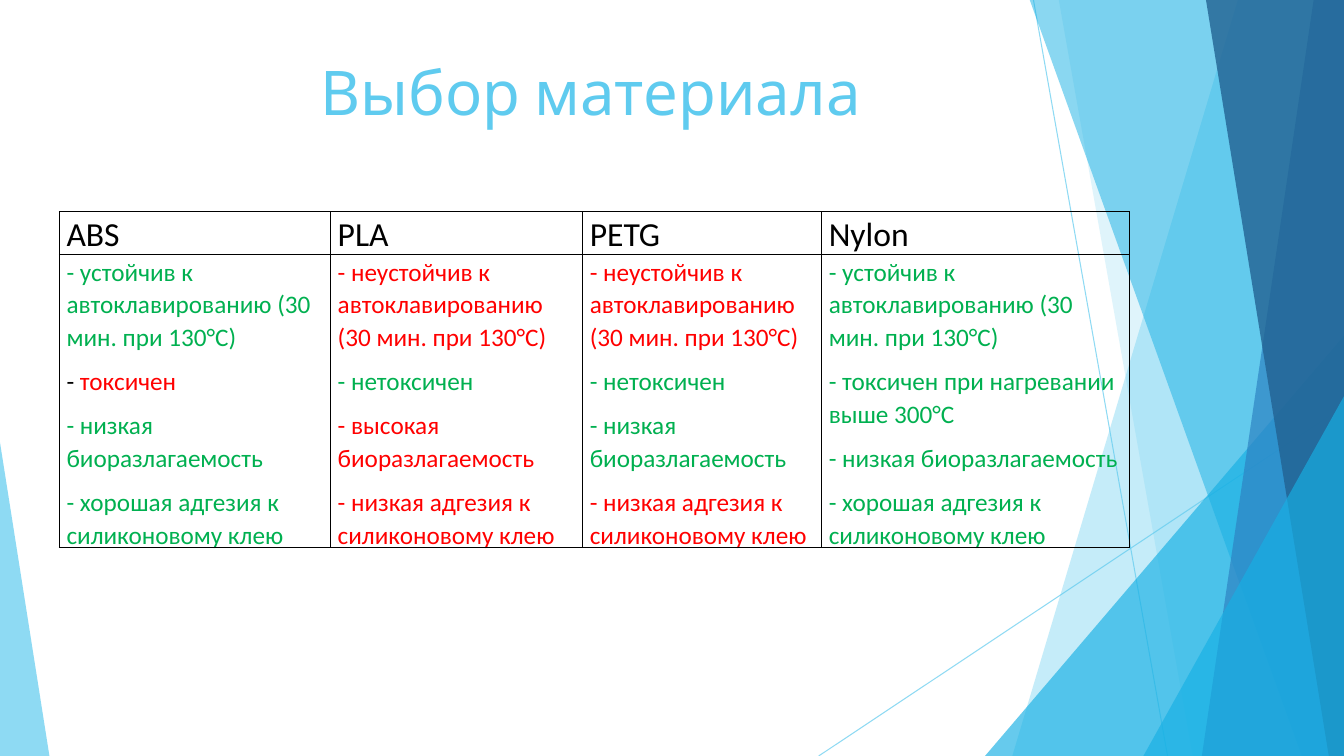
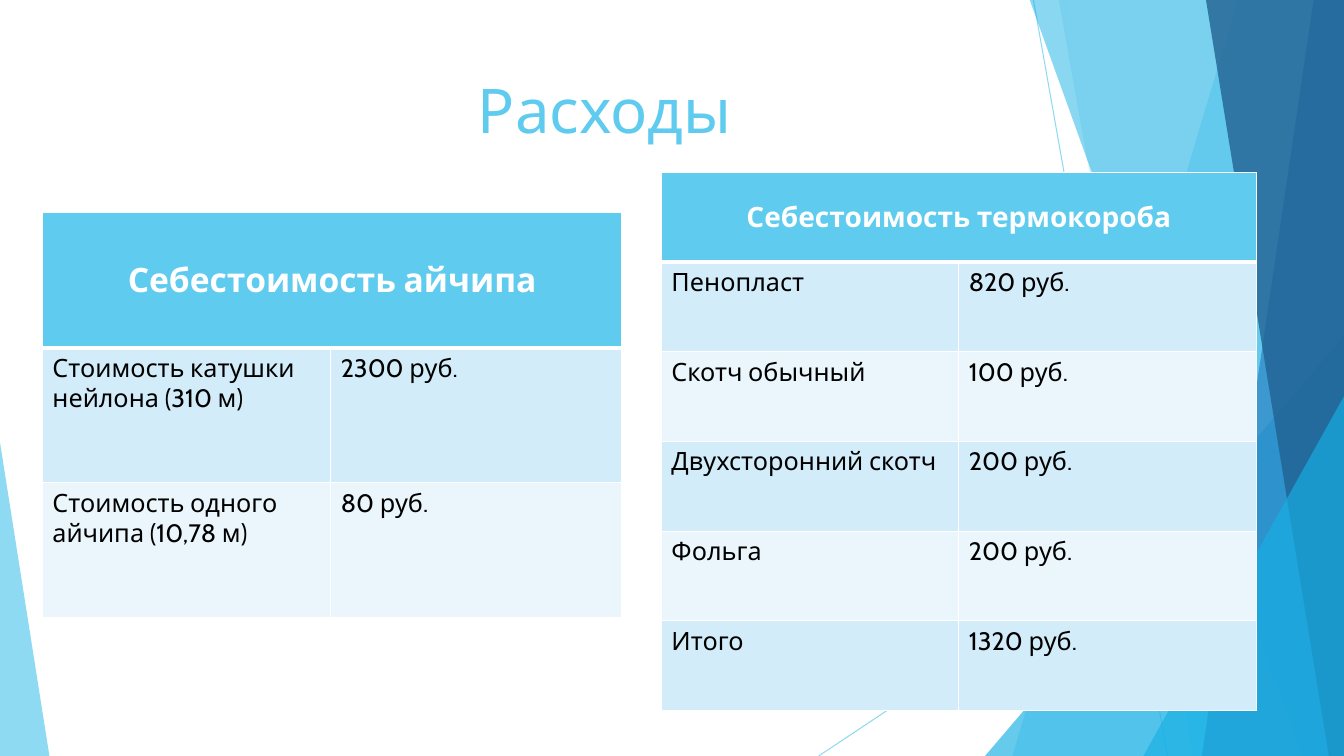
import pptx
import pptx.util
import pptx.dml.color
import pptx.enum.shapes
import pptx.enum.text
import pptx.oxml
import pptx.oxml.ns

Inches = pptx.util.Inches
Pt = pptx.util.Pt
RGBColor = pptx.dml.color.RGBColor
MSO_SHAPE = pptx.enum.shapes.MSO_SHAPE
MSO_ANCHOR = pptx.enum.text.MSO_ANCHOR
PP_ALIGN = pptx.enum.text.PP_ALIGN

SKY = RGBColor(0x5F, 0xCB, 0xEF)
CYAN = RGBColor(0x17, 0xB0, 0xE4)
BLUE = RGBColor(0x2E, 0x83, 0xC3)
NAVY = RGBColor(0x22, 0x62, 0x92)
BAND_DARK = RGBColor(0xD2, 0xEC, 0xF9)
BAND_LIGHT = RGBColor(0xEA, 0xF6, 0xFC)
GREEN = RGBColor(0x00, 0xB0, 0x50)
RED = RGBColor(0xFF, 0x00, 0x00)
BLACK = RGBColor(0x00, 0x00, 0x00)
WHITE = RGBColor(0xFF, 0xFF, 0xFF)
TITLE_FONT = "Cabin"
TABLE_FONT = "Calibri"
SLIDE_WIDTH = 13.33
SLIDE_HEIGHT = 7.5
BAND_TOP = -0.01


def set_opacity(shape, percent):
    for color in shape.element.iter(pptx.oxml.ns.qn("a:srgbClr")):
        alpha = color.makeelement(pptx.oxml.ns.qn("a:alpha"), {"val": str(percent * 1000)})
        color.append(alpha)


def set_borders(cell, color, bottom_width=1):
    properties = cell._tc.get_or_add_tcPr()
    for side, width in (("L", 1), ("R", 1), ("T", 1), ("B", bottom_width)):
        properties.append(pptx.oxml.parse_xml(
            f'<a:ln{side} xmlns:a="http://schemas.openxmlformats.org/drawingml/2006/main" '
            f'w="{Pt(width)}"><a:solidFill><a:srgbClr val="{color}"/></a:solidFill></a:ln{side}>'))


presentation = pptx.Presentation()
presentation.slide_width = Inches(SLIDE_WIDTH)
presentation.slide_height = Inches(SLIDE_HEIGHT)
blank_layout = presentation.slide_layouts[6]

titles = [
    ("Выбор материала ", 1.23, 0.2),
    ("Расходы", 1.3, 0.38),
]
slides = []
for title, left, top in titles:
    slide = presentation.slides.add_slide(blank_layout)
    title_box = slide.shapes.add_textbox(Inches(left), Inches(top), Inches(9.4), Inches(1.4))
    title_frame = title_box.text_frame
    title_frame.word_wrap = True
    title_frame.vertical_anchor = MSO_ANCHOR.MIDDLE
    title_frame.text = title
    paragraph = title_frame.paragraphs[0]
    paragraph.alignment = PP_ALIGN.CENTER
    font = paragraph.runs[0].font
    font.name = TITLE_FONT
    font.size = Pt(44)
    font.color.rgb = SKY
    slides.append(slide)
material_slide, cost_slide = slides

decorations = [
    ("line", (10.25, 0, 11.58, SLIDE_HEIGHT), SKY, 70),
    ("line", (SLIDE_WIDTH, 4.03, 8.12, SLIDE_HEIGHT), SKY, 70),
    ("band", (12.28, 10.04), SKY, 36),
    ("band", (10.5, 11.83), SKY, 20),
    ("triangle", (9.77, 3.33, 3.56, 1), CYAN, 66),
    ("band", (10.21, 12.91), CYAN, 50),
    ("band", (13.03, 11.92), BLUE, 70),
    ("band", (11.96, 13.18), NAVY, 80),
    ("triangle", (11.34, 3.93, 1.99, 1), CYAN, 66),
    ("triangle", (0, 4.39, 0.49, 0), SKY, 70),
]
for kind, geometry, color, opacity in decorations:
    if kind == "line":
        shape = material_slide.shapes.add_connector(
            pptx.enum.shapes.MSO_CONNECTOR.STRAIGHT, *[Inches(value) for value in geometry])
        shape.line.color.rgb = color
        shape.line.width = Pt(0.75)
        shape.element.spPr.append(
            shape.element.makeelement(pptx.oxml.ns.qn("a:effectLst"), {}))
    else:
        if kind == "band":
            top_left, bottom_left = geometry
            builder = material_slide.shapes.build_freeform(Inches(top_left), Inches(BAND_TOP))
            corners = [(SLIDE_WIDTH, BAND_TOP), (SLIDE_WIDTH, SLIDE_HEIGHT),
                       (bottom_left, SLIDE_HEIGHT)]
            builder.add_line_segments([(Inches(x), Inches(y)) for x, y in corners])
            shape = builder.convert_to_shape()
        else:
            left, top, width, apex = geometry
            shape = material_slide.shapes.add_shape(
                MSO_SHAPE.ISOSCELES_TRIANGLE, Inches(left), Inches(top),
                Inches(width), Inches(SLIDE_HEIGHT - top))
            shape.adjustments[0] = apex
        shape.shadow.inherit = False
        shape.fill.solid()
        shape.fill.fore_color.rgb = color
        shape.line.fill.background()
    set_opacity(shape, opacity)
    blank_layout.shapes.element.append(shape.element)

autoclave = "устойчив к автоклавированию (30 мин. при 130°С)"
stable = [("- " + autoclave, GREEN)]
unstable = [("- не" + autoclave, RED)]
nontoxic = [("- нетоксичен", GREEN)]
low_degradation = [("- низкая биоразлагаемость", GREEN)]
good_adhesion = [("- хорошая адгезия к силиконовому клею", GREEN)]
poor_adhesion = [("- низкая адгезия к силиконовому клею", RED)]
materials = [
    ("ABS", 2.69, [stable, [("- ", BLACK), ("токсичен", RED)], low_degradation, good_adhesion]),
    ("PLA", 2.5, [unstable, nontoxic, [("- высокая биоразлагаемость", RED)], poor_adhesion]),
    ("PETG", 2.37, [unstable, nontoxic, low_degradation, poor_adhesion]),
    ("Nylon", 3.05, [stable, [("- токсичен при нагревании выше 300°С", GREEN)],
                     low_degradation, good_adhesion]),
]
left = 0.59
for material, width, traits in materials:
    table = material_slide.shapes.add_table(
        2, 1, Inches(left), Inches(2.1), Inches(width), Inches(3.06)).table
    left += width
    table.horz_banding = False
    contents = [(0.28, 24, [[(material, BLACK)]]), (2.78, 18, traits)]
    for row_index, (height, size, paragraphs) in enumerate(contents):
        table.rows[row_index].height = Inches(height)
        cell = table.cell(row_index, 0)
        cell.margin_left = cell.margin_right = Inches(0.07)
        cell.margin_top = cell.margin_bottom = 0
        set_borders(cell, BLACK)
        cell.fill.background()
        for index, runs in enumerate(paragraphs):
            text_frame = cell.text_frame
            paragraph = text_frame.add_paragraph() if index else text_frame.paragraphs[0]
            paragraph.line_spacing = 1.07
            paragraph.space_after = Pt(8)
            for text, color in runs:
                run = paragraph.add_run()
                run.text = text
                run.font.name = TABLE_FONT
                run.font.size = Pt(size)
                run.font.bold = False
                run.font.color.rgb = color

cost_tables = [
    ("Себестоимость айчипа", 24, 0.42, 2.11, (2.86, 2.89), 1.34, [
        ("Стоимость катушки нейлона (310 м)", "2300 руб."),
        ("Стоимость одного айчипа (10,78 м)", "80 руб."),
    ]),
    ("Себестоимость термокороба", 20, 6.56, 1.71, (2.95, 2.95), 0.89, [
        ("Пенопласт", "820 руб."),
        ("Скотч обычный", "100 руб."),
        ("Двухсторонний скотч", "200 руб."),
        ("Фольга", "200 руб."),
        ("Итого", "1320 руб."),
    ]),
]
for heading, heading_size, left, top, widths, row_height, costs in cost_tables:
    rows = [(heading, "")] + costs
    table = cost_slide.shapes.add_table(
        len(rows), 2, Inches(left), Inches(top),
        Inches(sum(widths)), Inches(row_height * len(rows))).table
    for column, width in zip(table.columns, widths):
        column.width = Inches(width)
    table.cell(0, 0).merge(table.cell(0, 1))
    for row_index, values in enumerate(rows):
        is_heading = row_index == 0
        table.rows[row_index].height = Inches(row_height)
        for column_index, value in enumerate(values):
            cell = table.cell(row_index, column_index)
            set_borders(cell, WHITE, 3 if is_heading else 1)
            cell.fill.solid()
            cell.fill.fore_color.rgb = (
                SKY if is_heading else BAND_DARK if row_index % 2 else BAND_LIGHT)
            if cell.is_spanned:
                continue
            cell.text_frame.text = value
            paragraph = cell.text_frame.paragraphs[0]
            font = paragraph.runs[0].font
            font.name = TITLE_FONT
            font.size = Pt(heading_size if is_heading else 18)
            font.bold = is_heading
            font.color.rgb = WHITE if is_heading else BLACK
            if is_heading:
                cell.vertical_anchor = MSO_ANCHOR.MIDDLE
                paragraph.alignment = PP_ALIGN.CENTER

presentation.save("out.pptx")
